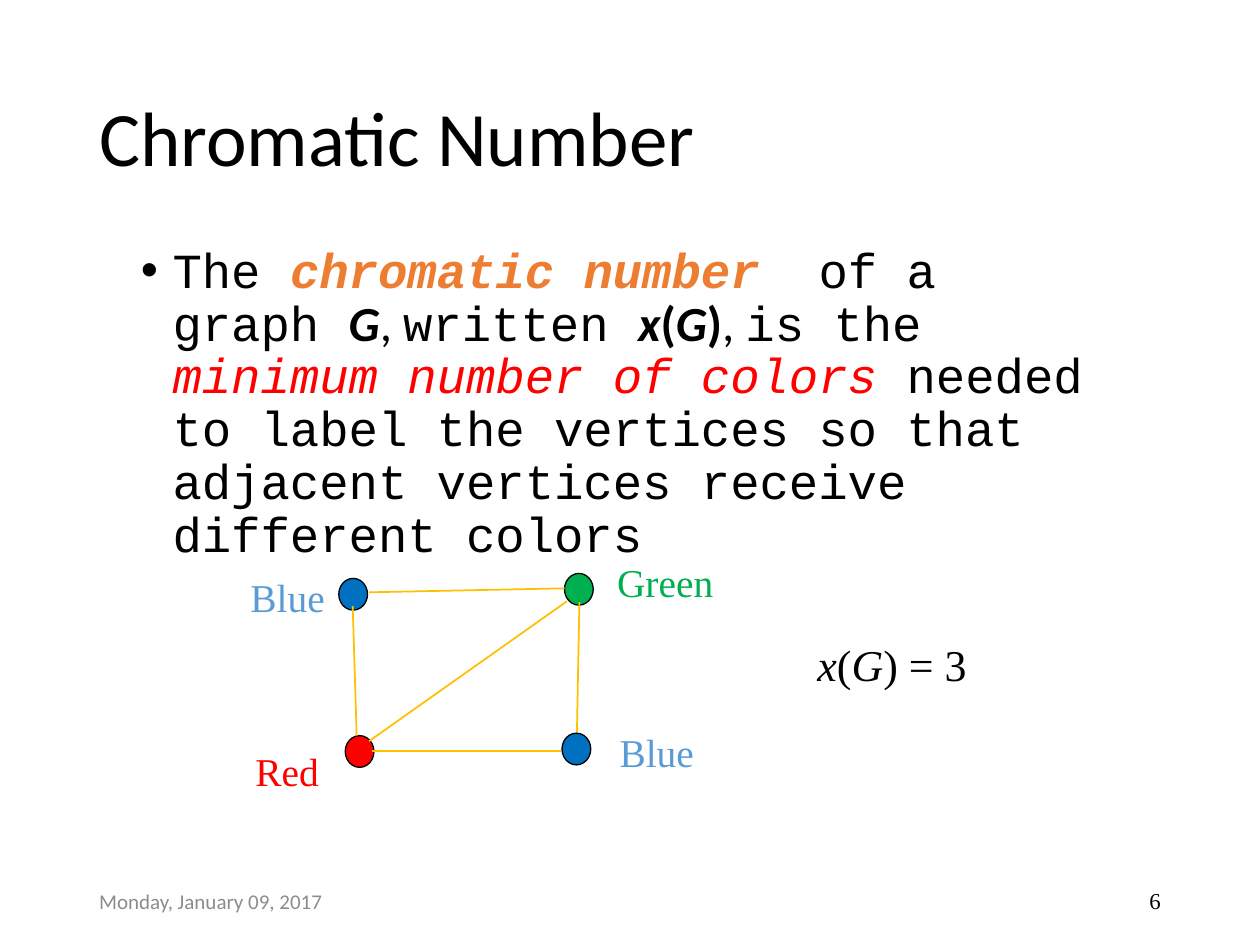
from lxml import etree
from pptx import Presentation
from pptx.dml.color import RGBColor
from pptx.enum.shapes import MSO_CONNECTOR, MSO_SHAPE
from pptx.enum.text import MSO_ANCHOR, PP_ALIGN
from pptx.oxml.ns import qn
from pptx.util import Cm, Pt

TOP, MIDDLE = MSO_ANCHOR.TOP, MSO_ANCHOR.MIDDLE
LEFT, RIGHT = PP_ALIGN.LEFT, PP_ALIGN.RIGHT
OVAL, STRAIGHT = MSO_SHAPE.OVAL, MSO_CONNECTOR.STRAIGHT

BLACK = RGBColor(0x00, 0x00, 0x00)
GRAY = RGBColor(0x8C, 0x8C, 0x8C)
ORANGE = RGBColor(0xED, 0x7D, 0x31)
RED = RGBColor(0xFF, 0x00, 0x00)
GREEN = RGBColor(0x00, 0xB0, 0x50)
BLUE = RGBColor(0x00, 0x70, 0xC0)
LIGHT_BLUE = RGBColor(0x5B, 0x9B, 0xD5)
GOLD = RGBColor(0xFF, 0xC0, 0x00)

SANS, MONO, SERIF = "Calibri", "Courier New", "Times New Roman"

# Runs: text, font, colour, style (b = bold, i = italic)
DEFINITION = [
    ("The ", MONO, BLACK, ""),
    ("chromatic number", MONO, ORANGE, "bi"),
    ("  of a graph ", MONO, BLACK, ""),
    ("G", SANS, BLACK, "bi"),
    (", ", SANS, BLACK, ""),
    ("written ", MONO, BLACK, ""),
    ("x", SANS, BLACK, "bi"),
    ("(", SANS, BLACK, "b"),
    ("G", SANS, BLACK, "bi"),
    (")", SANS, BLACK, "b"),
    (", ", SANS, BLACK, ""),
    ("is the ", MONO, BLACK, ""),
    ("minimum number of colors ", MONO, RED, "i"),
    ("needed to label the vertices so that adjacent vertices receive "
     "different colors ", MONO, BLACK, ""),
]
RESULT = [
    ("x", SERIF, BLACK, "i"),
    ("(", SERIF, BLACK, ""),
    ("G", SERIF, BLACK, "i"),
    (") = 3", SERIF, BLACK, ""),
]

# Graph, in cm: vertices (left, top, colour), edges, labels (text, colour, left, top, width)
VERTEX_W, VERTEX_H, LABEL_H = 0.58, 0.64, 1.19
VERTICES = [
    (6.83, 11.66, BLUE),
    (11.38, 11.56, GREEN),
    (6.96, 14.83, RED),
    (11.33, 14.78, BLUE),
]
EDGES = [
    (7.11, 12.22, 7.19, 14.83),
    (7.49, 15.14, 11.3, 15.14),
    (11.68, 12.14, 11.63, 14.76),
    (7.44, 11.94, 11.38, 11.86),
    (11.43, 12.12, 7.44, 14.94),
]
LABELS = [
    ("Red", RED, 4.9, 14.94, 1.85),
    ("Green", GREEN, 12.19, 11.13, 2.87),
    ("Blue", LIGHT_BLUE, 12.24, 14.55, 2.44),
    ("Blue", LIGHT_BLUE, 4.8, 11.43, 2.06),
]

prs = Presentation()
prs.slide_width, prs.slide_height = Cm(25.4), Cm(19.05)
s = prs.slides.add_slide(prs.slide_layouts[6])


def add_text(runs, size, box, anchor=TOP, align=LEFT, spacing=None):
    tf = s.shapes.add_textbox(*map(Cm, box)).text_frame
    tf.word_wrap = True
    tf.vertical_anchor = anchor
    p = tf.paragraphs[0]
    p.alignment = align
    p.line_spacing = spacing
    for text, font, color, style in runs:
        r = p.add_run()
        r.text = text
        r.font.name, r.font.size = font, Pt(size)
        r.font.color.rgb = color
        r.font.bold, r.font.italic = "b" in style, "i" in style
    return p


# Title and definition
add_text([("Chromatic Number", SANS, BLACK, "")], 44,
         (1.75, 1.02, 21.89, 3.68), MIDDLE, spacing=0.9)
p = add_text(DEFINITION, 28, (2.59, 4.83, 19.91, 5.28), spacing=0.9)
p.space_before = Pt(10)
pPr = p._p.get_or_add_pPr()
pPr.set("marL", str(Cm(0.64)))
pPr.set("indent", str(Cm(-0.64)))
etree.SubElement(pPr, qn("a:buFont")).set("typeface", "Arial")
etree.SubElement(pPr, qn("a:buChar")).set("char", "•")

# Graph
for left, top, color in VERTICES:
    sp = s.shapes.add_shape(OVAL, Cm(left), Cm(top), Cm(VERTEX_W), Cm(VERTEX_H))
    sp.shadow.inherit = False
    sp.fill.solid()
    sp.fill.fore_color.rgb = color
    sp.line.color.rgb = BLACK
    sp.line.width = Pt(0.75)
for edge in EDGES:
    line = s.shapes.add_connector(STRAIGHT, *map(Cm, edge))
    line.line.color.rgb = GOLD
    line.line.width = Pt(1)
    etree.SubElement(line._element.spPr, qn("a:effectLst"))
for text, color, left, top, width in LABELS:
    add_text([(text, SERIF, color, "")], 22.5, (left, top, width, LABEL_H))
add_text(RESULT, 25.1, (16.23, 12.73, 4.27, 1.32))

# Footer
add_text([("Monday, January 09, 2017", SANS, GRAY, "")], 12,
         (1.75, 17.65, 5.72, 1.02), MIDDLE)
add_text([("6", SERIF, BLACK, "")], 13, (17.93, 17.65, 5.72, 1.02), MIDDLE, RIGHT)

prs.save("out.pptx")
